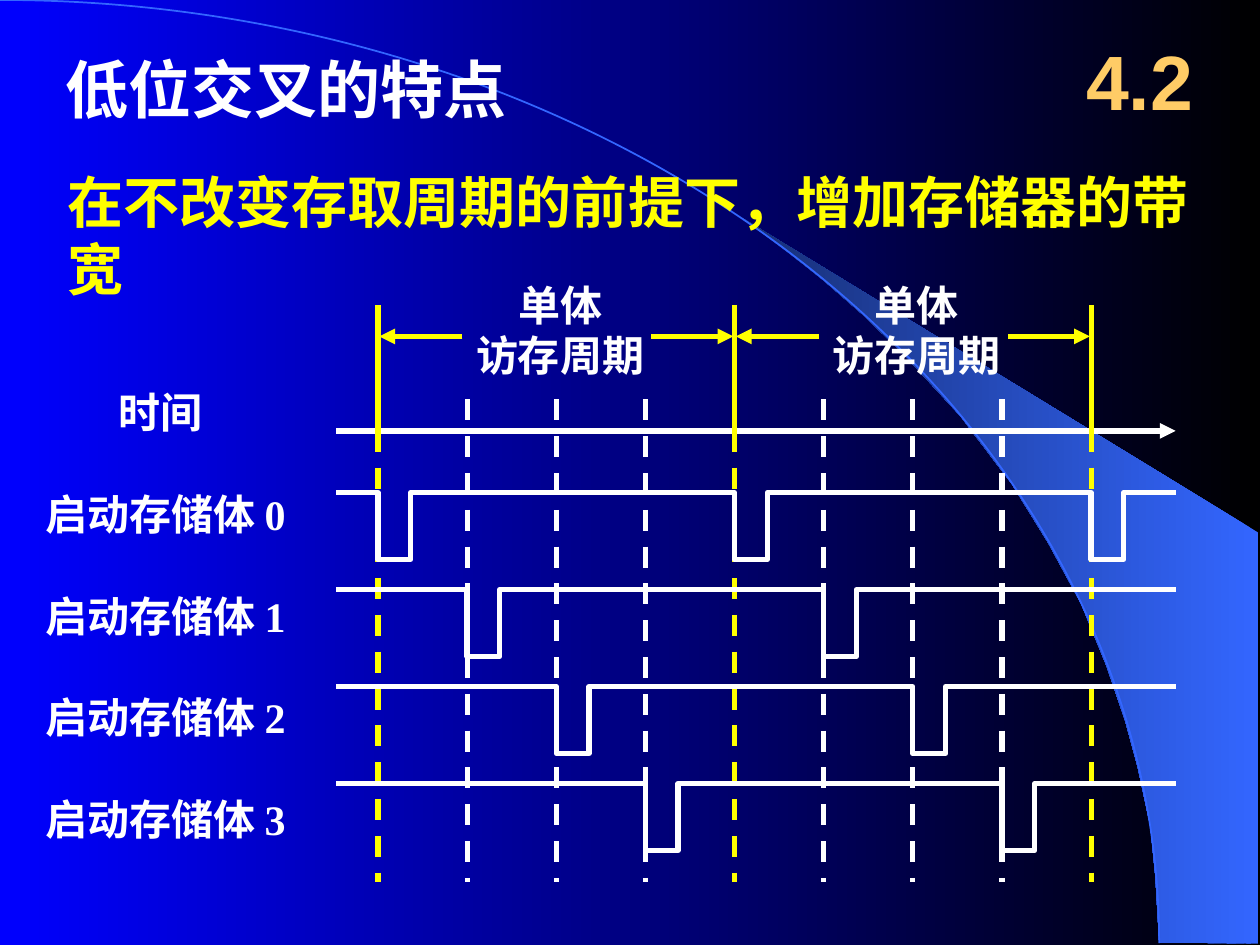
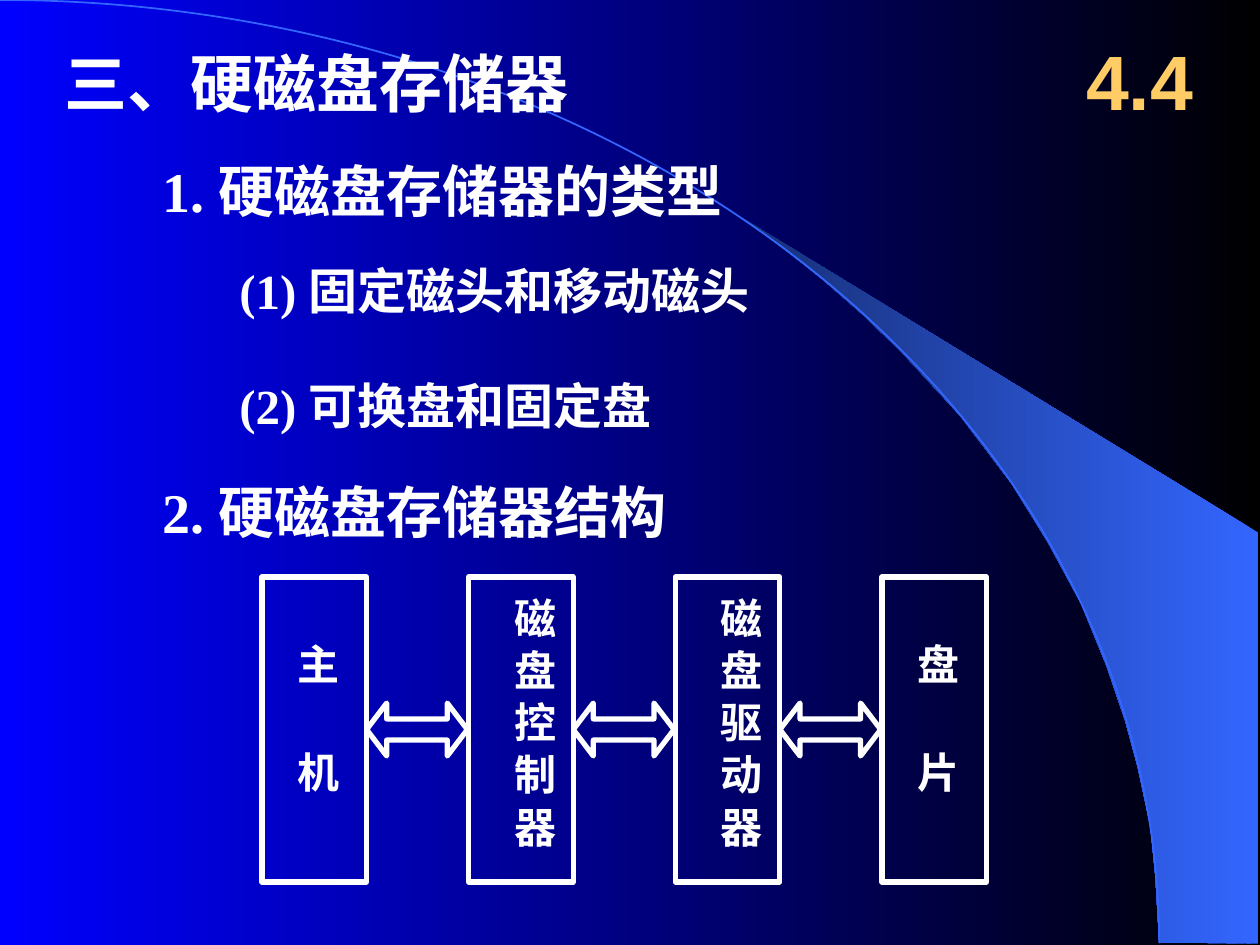
from dataclasses import dataclass

from lxml import etree
from pptx import Presentation
from pptx import util as u
from pptx.dml import color
from pptx.enum import dml, shapes, text
from pptx.oxml import ns


@dataclass(frozen=True)
class Theme:
    white: str = "FFFFFF"
    yellow: str = "FFFF00"
    gold: str = "FFCC66"
    black: str = "000000"
    blue: str = "0000FF"
    sky: str = "3366FF"
    navy: str = "172F75"
    serif: str = "Times New Roman"
    sans: str = "Arial"
    number_size: int = 44
    title_size: int = 36
    heading_size: int = 32
    item_size: int = 28
    label_size: int = 24
    stroke: float = 3


THEME = Theme()
WEDGE = [(9.2, 7.48), (9.99, 7.49), (9.99, 4.23), (5.89, 1.73), (6.24, 1.99),
         (6.53, 2.22), (6.85, 2.5), (7.16, 2.8), (7.62, 3.3), (8.03, 3.84),
         (8.32, 4.31), (8.58, 4.79), (8.78, 5.28), (8.93, 5.72), (9.03, 6.09),
         (9.13, 6.56), (9.17, 6.96)]
PERIOD_START = 3.0
PERIOD = 2.83
BANKS = 4
AXIS_LEFT, AXIS_RIGHT, AXIS_TOP = 2.67, 9.33, 3.42


def rgb(value):
    return color.RGBColor.from_string(value)


def inches(*values):
    return [u.Inches(value) for value in values]


def apply(target, values):
    for name, value in values.items():
        setattr(target, name, value)


def style_font(font, size, ink=THEME.white, name=THEME.serif):
    apply(font, {"size": u.Pt(size), "bold": True, "name": name})
    font.color.rgb = rgb(ink)


def style_line(line, ink=THEME.white, width=THEME.stroke):
    line.color.rgb = rgb(ink)
    line.width = u.Pt(width)


def style_gradient(fill, start, end):
    fill.gradient()
    fill.gradient_angle = 180
    for stop, ink in zip(fill.gradient_stops, (start, end)):
        stop.color.rgb = rgb(ink)


def style_outline(shape, width=THEME.stroke, ink=THEME.white):
    shape.shadow.inherit = False
    shape.fill.background()
    style_line(shape.line, ink, width)


def place(shape, box):
    apply(shape, dict(zip(("left", "top", "width", "height"), inches(*box))))


def add_freeform(slide, points, close=False):
    start, *rest = [inches(*point) for point in points]
    builder = slide.shapes.build_freeform(*start, scale=1.0)
    builder.add_line_segments(rest, close=close)
    return builder.convert_to_shape()


def add_line(slide, start, end, ink=THEME.white, dashed=False, arrow=False):
    connector = slide.shapes.add_connector(
        shapes.MSO_CONNECTOR.STRAIGHT, *inches(*start, *end))
    style_line(connector.line, ink)
    if dashed:
        connector.line.dash_style = dml.MSO_LINE.DASH
    if arrow:
        outline = connector.line._get_or_add_ln()
        etree.SubElement(outline, ns.qn("a:tailEnd"), type="triangle")
    etree.SubElement(connector.element.spPr, ns.qn("a:effectLst"))


def add_text(slide, box, lines, size, ink=THEME.white, name=THEME.serif,
             align=text.PP_ALIGN.LEFT):
    frame = slide.shapes.add_textbox(*inches(*box)).text_frame
    apply(frame, {"text": lines, "word_wrap": False,
                  "auto_size": text.MSO_AUTO_SIZE.SHAPE_TO_FIT_TEXT})
    for paragraph in frame.paragraphs:
        paragraph.alignment = align
        style_font(paragraph.font, size, ink, name)
    return frame


def add_heading(slide, title, box, number):
    place(slide.shapes.title, box)
    frame = slide.shapes.title.text_frame
    apply(frame, {"text": title, "word_wrap": True,
                  "auto_size": text.MSO_AUTO_SIZE.NONE,
                  "vertical_anchor": text.MSO_ANCHOR.TOP})
    paragraph = frame.paragraphs[0]
    paragraph.alignment = text.PP_ALIGN.LEFT
    style_font(paragraph.font, THEME.title_size)
    section = add_text(slide, (8.42, 0.17, 1.25, 0.92), number, THEME.number_size,
                       THEME.gold, THEME.sans, text.PP_ALIGN.CENTER)
    apply(section, {"word_wrap": True, "auto_size": text.MSO_AUTO_SIZE.NONE,
                    "vertical_anchor": text.MSO_ANCHOR.MIDDLE})


def add_list(slide, box, items):
    body = slide.placeholders[1]
    place(body, box)
    frame = body.text_frame
    frame.text = "\n".join(item for item, _, _ in items)
    apply(frame, {"word_wrap": True, "auto_size": text.MSO_AUTO_SIZE.NONE})
    for paragraph, (_, level, gap) in zip(frame.paragraphs, items):
        properties = paragraph._p.get_or_add_pPr()
        properties.set("marL", str(u.Inches(0.61 * level)))
        properties.set("indent", "0")
        etree.SubElement(properties, ns.qn("a:buNone"))
        apply(paragraph, {"level": level, "space_before": u.Pt(gap)})
        style_font(paragraph.font, (THEME.heading_size, THEME.item_size)[level])


def decorate_master(presentation, slide):
    master = presentation.slide_master
    style_gradient(master.background.fill, THEME.black, THEME.blue)
    wedge = add_freeform(slide, WEDGE, close=True)
    wedge.shadow.inherit = False
    style_gradient(wedge.fill, THEME.sky, THEME.navy)
    wedge.line.fill.background()
    arc = slide.shapes.add_shape(shapes.MSO_SHAPE.ARC, *inches(-9.2, 0, 18.4, 14.97))
    style_outline(arc, 1, THEME.sky)
    for index, shape in enumerate((wedge, arc)):
        shape.element.nvSpPr.cNvPr.set("id", str(100 + index))
        master.shapes.element.insert(2 + index, shape.element)


def add_wave(slide, bank):
    high = 3.91 + 0.77 * bank
    low = high + 0.53
    points = [(AXIS_LEFT, high)]
    for cycle in range(3 if bank == 0 else 2):
        fall = PERIOD_START + PERIOD * (cycle + bank / BANKS)
        rise = fall + 0.26
        points += [(fall, high), (fall, low), (rise, low), (rise, high)]
    points.append((AXIS_RIGHT, high))
    style_outline(add_freeform(slide, points))


def add_period(slide, left):
    add_text(slide, (left + 0.68, 2.17, 1.53, 0.9), "单体\n访存周期",
             THEME.label_size, align=text.PP_ALIGN.CENTER)
    for start, end in ((0.67, 0.01), (2.17, PERIOD - 0.01)):
        add_line(slide, (left + start, 2.67), (left + end, 2.67),
                 THEME.yellow, arrow=True)


def add_timing_chart(slide):
    for tick in range(2 * BANKS + 1):
        x = PERIOD_START + PERIOD * tick / BANKS
        boundary = tick % BANKS == 0
        add_line(slide, (x, AXIS_TOP if boundary else 3.17), (x, 7),
                 THEME.yellow if boundary else THEME.white, dashed=True)
    add_text(slide, (0.84, 3.02, 0.88, 0.5), "时间", THEME.label_size)
    add_line(slide, (AXIS_LEFT, AXIS_TOP), (AXIS_RIGHT, AXIS_TOP), arrow=True)
    for bank in range(BANKS):
        add_wave(slide, bank)
        add_text(slide, (0.26, 3.83 + 0.805 * bank, 2.19, 0.5),
                 f"启动存储体 {bank}", THEME.label_size)
    for cycle in range(3):
        x = PERIOD_START + PERIOD * cycle
        if cycle < 2:
            add_period(slide, x)
        add_line(slide, (x, 2.42), (x, 3.5), THEME.yellow)


def add_block(slide, left, label, gap, inset_left, inset_top):
    block = slide.shapes.add_shape(
        shapes.MSO_SHAPE.RECTANGLE, *inches(left, 4.58, 0.83, 2.42))
    style_outline(block)
    frame = block.text_frame
    apply(frame, {"word_wrap": True, "vertical_anchor": text.MSO_ANCHOR.MIDDLE,
                  "margin_left": u.Inches(inset_left), "margin_right": u.Inches(0.05),
                  "margin_top": u.Inches(inset_top), "margin_bottom": u.Inches(0.05)})
    frame._txBody.bodyPr.set("vert", "eaVert")
    paragraph = frame.paragraphs[0]
    paragraph.alignment = text.PP_ALIGN.LEFT
    for character in label:
        run = paragraph.add_run()
        run.text = character
        style_font(run.font, THEME.label_size)
        if character == " " and gap:
            run.font._element.set("spc", str(gap * 100))


def add_disk_structure(slide):
    short, long = (32, 0.09, 0.53), (0, 0.25, 0.16)
    blocks = [("主 机", short), ("磁 盘 控 制 器", long),
              ("磁 盘 驱 动 器", long), ("盘 片", short)]
    for index, (label, layout) in enumerate(blocks):
        left = 2.08 + 1.64 * index
        add_block(slide, left, label, *layout)
        if index < len(blocks) - 1:
            arrow = slide.shapes.add_shape(
                shapes.MSO_SHAPE.LEFT_RIGHT_ARROW, *inches(left + 0.83, 5.58, 0.8, 0.42))
            arrow.adjustments[0], arrow.adjustments[1] = 0.4, 0.38
            style_outline(arrow)


def main():
    presentation = Presentation()
    apply(presentation, {"slide_width": u.Inches(10), "slide_height": u.Inches(7.5)})
    layouts = presentation.slide_layouts

    interleaving = presentation.slides.add_slide(layouts[5])
    decorate_master(presentation, interleaving)
    add_heading(interleaving, "低位交叉的特点", (0.42, 0.35, 4.2, 0.7), "4.2")
    add_text(interleaving, (0.44, 1.28, 9.54, 0.64),
             "在不改变存取周期的前提下，增加存储器的带宽", THEME.heading_size, THEME.yellow)
    add_timing_chart(interleaving)

    hard_disk = presentation.slides.add_slide(layouts[1])
    add_heading(hard_disk, "三、硬磁盘存储器", (0.41, 0.3, 4.7, 0.7), "4.4")
    add_list(hard_disk, (1.19, 1.19, 6.06, 3.2), [
        ("1. 硬磁盘存储器的类型", 0, 0),
        ("(1) 固定磁头和移动磁头", 1, 21),
        ("(2) 可换盘和固定盘", 1, 32),
        ("2. 硬磁盘存储器结构", 0, 25),
    ])
    add_disk_structure(hard_disk)
    presentation.save("out.pptx")


if __name__ == "__main__":
    main()
